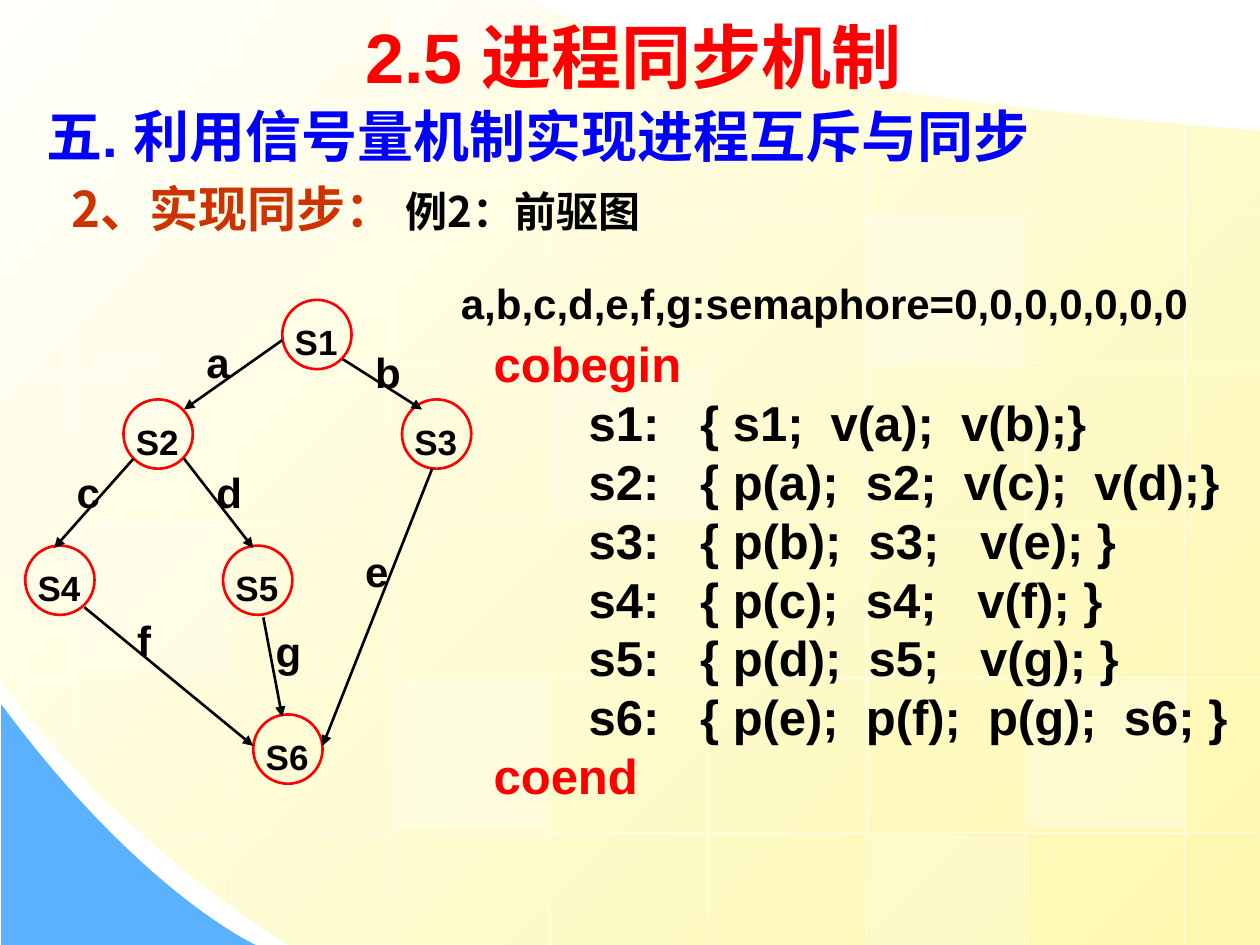
from lxml.etree import SubElement
from pptx import Presentation
from pptx.dml.color import RGBColor
from pptx.enum.shapes import MSO_CONNECTOR as LINE, MSO_SHAPE as SHAPE
from pptx.enum.text import MSO_ANCHOR as ANCHOR, MSO_AUTO_SIZE as FIT, PP_ALIGN as ALIGN
from pptx.oxml.ns import qn
from pptx.util import Inches, Pt

rgb = RGBColor.from_string
CJK = "Noto Sans CJK SC"
BLACK, RED, WHITE = "000000", "FF0000", "FFFFFF"

prs = Presentation()
prs.slide_width, prs.slide_height = Inches(10), Inches(7.5)
slide = prs.slides.add_slide(prs.slide_layouts[5])
shapes = slide.shapes


def draw_line(start, end, color, width, alpha=None, arrow=False):
    line = shapes.add_connector(LINE.STRAIGHT, *map(Inches, start + end))
    line.line.color.rgb = rgb(color)
    line.line.width = Pt(width)
    properties = line._element.spPr
    if alpha:
        SubElement(properties.find(".//" + qn("a:srgbClr")), qn("a:alpha"), val=str(alpha * 1000))
    if arrow:
        SubElement(properties.find(qn("a:ln")), qn("a:tailEnd"), type="triangle")
    SubElement(properties, qn("a:effectLst"))


def style_run(run, size, color, latin="Arial"):
    run.font.size, run.font.bold, run.font.name = Pt(size), True, latin
    run.font.color.rgb = rgb(color)
    SubElement(run._r.get_or_add_rPr(), qn("a:ea"), typeface=CJK)


# Background: yellow sheet and blue corner, curves given by their control points
sheet = [(10, 1.04),
         [(10, 4.27), (10, 7.5), (10, 7.5)],
         [(10, 7.5), (6.15, 7.5), (2.3, 7.5)],
         [(0.86, 6.61), (-0.01, 5.39), (0, 5.39)],
         [(-0.01, -0.01)], [(4.21, 0.01)],
         [(4.21, 0.01), (5.37, 0.69), (10, 1.04)]]
corner = [(0.01, 5.59), [(0.01, 7.5)], [(2.03, 7.5)],
          [(2.03, 7.5), (1.12, 7.09), (0.01, 5.59)]]
STEPS = 24
for start, *segments in (sheet, corner):
    points = [start]
    for segment in segments:
        if len(segment) == 1:
            points += segment
            continue
        controls = [points[-1]] + segment
        for step in range(1, STEPS + 1):
            t = step / STEPS
            weights = ((1 - t) ** 3, 3 * t * (1 - t) ** 2, 3 * t * t * (1 - t), t ** 3)
            points.append(tuple(sum(w * c[axis] for w, c in zip(weights, controls))
                                for axis in (0, 1)))
    emu_points = [(Inches(x), Inches(y)) for x, y in points]
    builder = shapes.build_freeform(*emu_points[0])
    builder.add_line_segments(emu_points[1:])
    area = builder.convert_to_shape()
    area.shadow.inherit = False
    area.line.fill.background()
    if start == sheet[0]:
        area.fill.gradient()
        area.fill.gradient_angle = 315
        for stop, color, position in zip(area.fill.gradient_stops, ("FFFFFB", "FEF8AF"), (0, 1)):
            stop.color.rgb = rgb(color)
            stop.position = position
    else:
        area.fill.solid()
        area.fill.fore_color.rgb = rgb("5CB1FE")

# Background grid
columns = [(0, 6.09), (0, 7.19), (0, 7.5), (0, 7.5), (0.43, 7.5), (0.68, 7.5), (0.85, 7.5), (0.98, 7.5)]
for i, (top, bottom) in enumerate(columns):
    x = 0.58 + 1.26 * i
    draw_line((x, top), (x, bottom), WHITE, 0.75, alpha=50)
rows = [(0, 5.68), (0, 10), (0, 10), (0, 10), (0, 10), (1.11, 9.97)]
for i, (left, right) in enumerate(rows):
    y = 0.46 + 1.23 * i
    draw_line((left, y), (right, y), WHITE, 0.75, alpha=50)

# Light grid cells: left, top, height, opacity
cells = [(4.38, 2.94, 1.18, 25), (8.16, 5.4, 1.18, 30), (0.6, 4.16, 1.18, 20), (6.9, 6.63, 0.87, 20),
         (3.11, 0, 0.44, 40), (3.12, 5.4, 1.18, 30), (6.89, 1.71, 1.18, 30)]
for left, top, height, opacity in cells:
    cell = shapes.add_shape(SHAPE.RECTANGLE, *map(Inches, (left, top, 1.23, height)))
    cell.shadow.inherit = False
    cell.line.fill.background()
    cell.fill.solid()
    cell.fill.fore_color.rgb = rgb(WHITE)
    SubElement(cell._element.spPr.find(".//" + qn("a:srgbClr")), qn("a:alpha"), val=str(opacity * 1000))

# Title, raised above the background
title = shapes.title
shapes._spTree.append(title._element)
title.left, title.top, title.width, title.height = map(Inches, (0.47, 1.34, 5.2, 0.62))
title.text_frame.text = "2、实现同步： "
title.text_frame.auto_size = FIT.NONE
title.text_frame.vertical_anchor = ANCHOR.MIDDLE
topic = title.text_frame.paragraphs[0]
topic.alignment = ALIGN.LEFT
example = topic.add_run()
example.text = "例2：前驱图"
style_run(topic.runs[0], 28, "CC3300", CJK)
style_run(example, 24, BLACK, CJK)

# Precedence graph: nodes and arrows
nodes = {"S1": (2.24, 2.38), "S2": (0.98, 3.17), "S3": (3.19, 3.17),
         "S4": (0.2, 4.33), "S5": (1.77, 4.33), "S6": (2.01, 5.67)}
for left, top in nodes.values():
    node = shapes.add_shape(SHAPE.OVAL, *map(Inches, (left, top, 0.55, 0.55)))
    node.shadow.inherit = False
    node.fill.background()
    node.line.color.rgb = rgb(RED)
    node.line.width = Pt(1.5)

arrows = [((2.24, 2.7), (1.46, 3.25)), ((2.72, 2.85), (3.35, 3.25)), ((1.06, 3.64), (0.43, 4.35)),
          ((1.46, 3.64), (2.01, 4.35)), ((3.43, 3.72), (2.56, 5.92)), ((0.67, 4.82), (2.01, 5.92)),
          ((2.09, 4.9), (2.24, 5.69))]
for start, end in arrows:
    draw_line(start, end, BLACK, 1.5, arrow=True)

# Texts: box, wording, size, colour, anchor
semaphores = {"a": (1.54, 2.22), "b": (2.88, 2.3), "c": (0.51, 3.25), "d": (1.62, 3.25),
              "e": (2.8, 3.88), "f": (0.99, 4.43), "g": (2.09, 4.51)}
program = """cobegin
       s1:   { s1;  v(a);  v(b);}
       s2:   { p(a);  s2;  v(c);  v(d);}
       s3:   { p(b);  s3;   v(e); }
       s4:   { p(c);  s4;   v(f); }
       s5:   { p(d);  s5;   v(g); }
       s6:   { p(e);  p(f);  p(g);  s6; }
coend"""
texts = [((x, y - 0.22, 0.71, 0.77), name, 20, BLACK, ANCHOR.BOTTOM) for name, (x, y) in nodes.items()]
texts += [((x, y, 0.47, 0.9), name, 24, BLACK, ANCHOR.BOTTOM) for name, (x, y) in semaphores.items()]
texts += [
    ((3.56, 1.75, 6.14, 0.9), "a,b,c,d,e,f,g:semaphore=0,0,0,0,0,0,0", 24, BLACK, ANCHOR.BOTTOM),
    ((3.82, 2.6, 6.14, 4.31), program, 28, BLACK, ANCHOR.TOP),
    ((0.27, 0.68, 8.35, 0.78), "五. 利用信号量机制实现进程互斥与同步", 32, "0000FF", ANCHOR.MIDDLE),
    ((2.8, 0.05, 4.8, 0.78), "2.5 进程同步机制", 40, RED, ANCHOR.MIDDLE),
]
for box, wording, size, color, anchor in texts:
    frame = shapes.add_textbox(*map(Inches, box)).text_frame
    frame.word_wrap = True
    frame.vertical_anchor = anchor
    frame.text = wording
    for paragraph in frame.paragraphs:
        keyword = paragraph.text in ("cobegin", "coend")
        style_run(paragraph.runs[0], size, RED if keyword else color)

prs.save("out.pptx")
